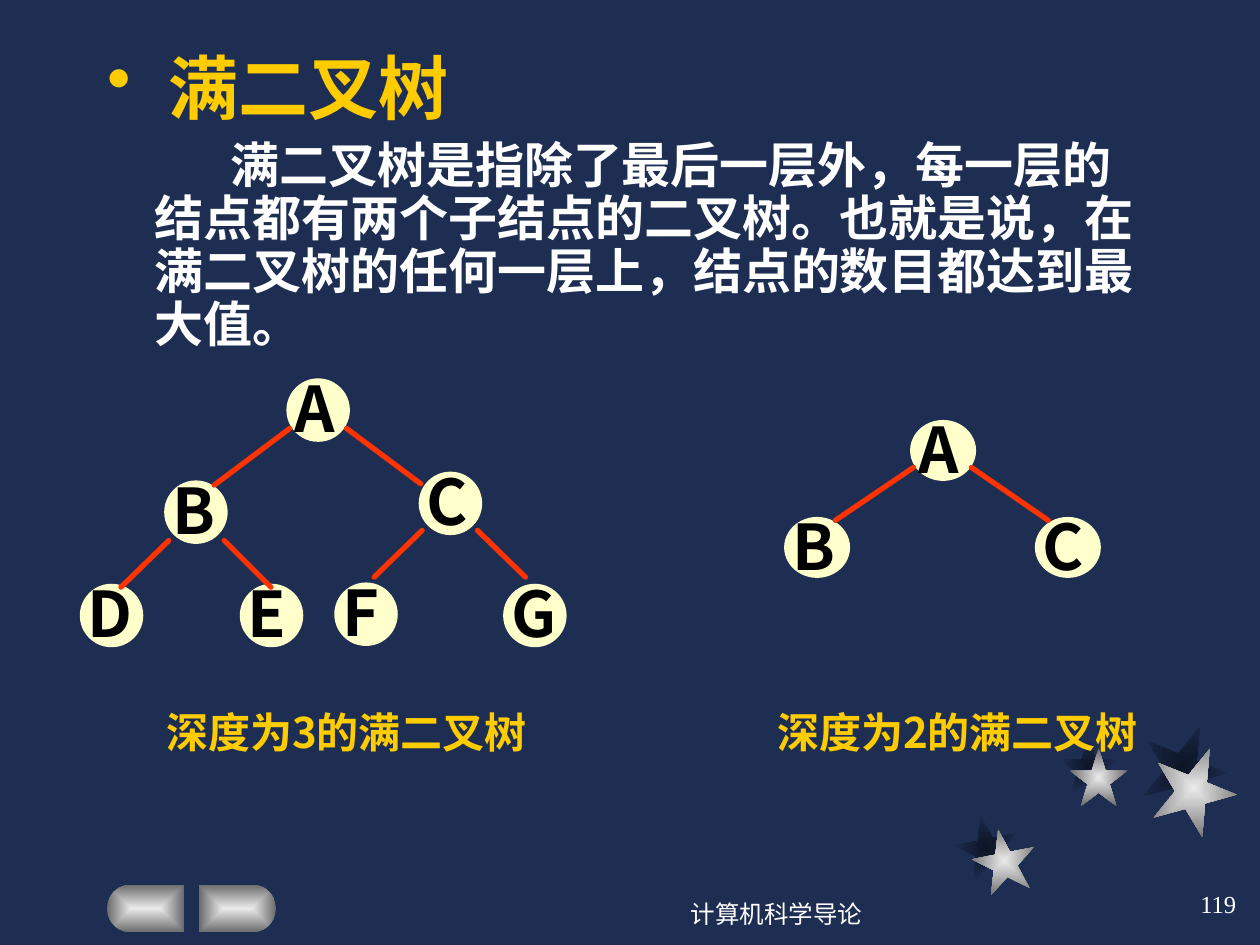
import math

import pptx
import pptx.dml.color
import pptx.enum.dml
import pptx.enum.shapes
import pptx.enum.text
import pptx.oxml.ns
import pptx.oxml.xmlchemy
import pptx.util
from lxml import etree

# The slide is a grid of 100 columns and 75 rows; all lengths count its cells
COLUMNS, ROWS = 100, 75
CELL = pptx.util.Inches(10) // COLUMNS

ALIGN = pptx.enum.text.PP_ALIGN
ANCHOR = pptx.enum.text.MSO_ANCHOR
SHAPE = pptx.enum.shapes.MSO_SHAPE
CJK_FONT = "Noto Sans CJK SC"
NAVY, DARK_NAVY = "1E2E53", "0D1526"
SILVER, GREY = "EAEAEA", "6B6B6B"
GOLD, CREAM, RED, WHITE, BLACK = "FFCC00", "FFFFCC", "FF3300", "FFFFFF", "000000"

# Stars: left, top, size, rotation
STAR_SHADOWS = [(75.8, 64.7, 5, 349), (84.1, 58.5, 4.6, 0), (90.6, 57.5, 6.7, 22)]
STARS = [(77.2, 65.8, 5, 349), (84.9, 59.4, 4.6, 0), (91.4, 59.2, 6.7, 22)]

# Trees: node size, node corners, branch ends
DEPTH_3 = {
    "size": (4.9, 4.9),
    "nodes": {"A": (22.8, 30.1), "G": (40, 46.4), "F": (26.6, 46.3), "E": (19.1, 46.4),
              "D": (6.4, 46.4), "C": (33.3, 37.5), "B": (13.1, 38.2)},
    "branches": [(23, 34, 17, 38.5), (27.5, 34, 33.4, 38.4),
                 (17.8, 42.9, 21.5, 46.6), (33.5, 42.1, 29.7, 45.8),
                 (13.4, 42.9, 9.6, 46.6), (37.9, 42.1, 41.7, 45.8)],
}
DEPTH_2 = {
    "size": (5.1, 4.7),
    "nodes": {"A": (72.3, 33.4), "C": (82.2, 41.1), "B": (62.3, 41.1)},
    "branches": [(72.5, 37.1, 66.3, 41.3), (77.1, 37.1, 83.2, 41.3)],
}


def cells(*lengths):
    return [round(length * CELL) for length in lengths]


def colour(code):
    return pptx.dml.color.RGBColor.from_string(code)


def apply(target, values):
    for name, value in values.items():
        setattr(target, name, value)


def sub(parent, tag, **attributes):
    return etree.SubElement(parent, pptx.oxml.ns.qn(tag), **attributes)


def write(frame, text, size, shade, font=CJK_FONT, bold=True, frame_format=None,
          paragraph_format=None):
    """Put one formatted run into a text frame."""
    apply(frame, {"word_wrap": True, **(frame_format or {})})
    paragraph = frame.paragraphs[0]
    apply(paragraph, {"space_before": pptx.util.Pt(0), **(paragraph_format or {})})
    run = paragraph.add_run()
    run.text = text
    apply(run.font, {"size": pptx.util.Pt(size), "bold": bold, "name": font})
    run.font.color.rgb = colour(shade)
    sub(run.font._element, "a:ea", typeface=CJK_FONT)


def add_text(shapes, box, text, size, shade, **formats):
    write(shapes.add_textbox(*cells(*box)).text_frame, text, size, shade, **formats)


def glow(shape, centre, edge):
    """Fill a shape with a gradient that runs from its centre to its edges."""
    shape.shadow.inherit = False
    shape.line.fill.background()
    shape.fill.gradient()
    for stop, shade in zip(shape.fill.gradient_stops, (centre, edge)):
        stop.color.rgb = colour(shade)
    gradient = shape._element.spPr.find(pptx.oxml.ns.qn("a:gradFill"))
    gradient.remove(gradient.find(pptx.oxml.ns.qn("a:lin")))
    focus = sub(gradient, "a:path")
    focus.set("path", "rect")
    sub(focus, "a:fillToRect", l="50000", t="50000", r="50000", b="50000")


def add_star(shapes, left, top, size, rotation, centre, edge):
    star = shapes.add_shape(SHAPE.STAR_5_POINT, *cells(left, top, size, size))
    star.rotation = rotation
    glow(star, centre, edge)


def add_button(shapes, flat_edge, direction):
    """Draw a half pill whose round end points left (-1) or right (1)."""
    top, radius, straight = 70.2, 1.9, 4.2
    builder = shapes.build_freeform(*cells(flat_edge, top))
    arc = [math.radians(angle) for angle in range(-90, 91, 15)]
    outline = [(flat_edge + direction * (straight + radius * math.cos(angle)),
                top + radius * (1 + math.sin(angle))) for angle in arc]
    outline.append((flat_edge, top + 2 * radius))
    builder.add_line_segments([cells(*point) for point in outline], close=True)
    glow(builder.convert_to_shape(), SILVER, GREY)


def add_node(shapes, letter, left, top, width, height):
    node = shapes.add_shape(SHAPE.OVAL, *cells(left, top, width, height))
    node.shadow.inherit = False
    node.fill.solid()
    node.fill.fore_color.rgb = node.line.color.rgb = colour(CREAM)
    node.line.width = pptx.util.Pt(1)
    add_text(shapes, (left - 1.3, top - 1.3, width + 4, 7), letter, 36, BLACK,
             frame_format={"margin_left": cells(1.87)[0],
                           "auto_size": pptx.enum.text.MSO_AUTO_SIZE.SHAPE_TO_FIT_TEXT})


def add_branch(shapes, *ends):
    branch = shapes.add_connector(pptx.enum.shapes.MSO_CONNECTOR.STRAIGHT, *cells(*ends))
    branch.line.color.rgb = colour(RED)
    branch.line.width = pptx.util.Pt(3)
    properties = branch._element.spPr
    properties.find(pptx.oxml.ns.qn("a:ln")).set("cap", "rnd")
    sub(properties, "a:effectLst")


def add_tree(slide, tree):
    shapes = slide.shapes.add_group_shape().shapes
    for letter, corner in tree["nodes"].items():
        add_node(shapes, letter, *corner, *tree["size"])
    for ends in tree["branches"]:
        add_branch(shapes, *ends)


def fill_placeholder(holder, box, indents, bullet, text, size, shade, **formats):
    apply(holder, dict(zip(("left", "top", "width", "height"), cells(*box))))
    properties = holder.text_frame.paragraphs[0]._p.get_or_add_pPr()
    for name, length in zip(("marL", "indent"), cells(*indents)):
        properties.set(name, str(length))
    if bullet:
        sub(sub(properties, "a:buClr"), "a:srgbClr", val=shade)
        sub(properties, "a:buChar", char=bullet)
    else:
        sub(properties, "a:buNone")
    write(holder.text_frame, text, size, shade, font="Arial", **formats)


def main():
    deck = pptx.Presentation()
    deck.slide_width, deck.slide_height = COLUMNS * CELL, ROWS * CELL
    slide = deck.slides.add_slide(deck.slide_layouts[1])
    slide.background.fill.solid()
    slide.background.fill.fore_color.rgb = colour(NAVY)
    title, definition = slide.placeholders

    # Decoration
    for stars, centre, edge in ((STAR_SHADOWS, DARK_NAVY, NAVY), (STARS, SILVER, GREY)):
        for star in stars:
            add_star(slide.shapes, *star, centre, edge)
    add_button(slide.shapes, 14.6, -1)
    add_button(slide.shapes, 15.8, 1)

    # Heading and definition
    fill_placeholder(title, (7.5, 2.5, 85, 8.2), (4.9, -4.9), "•", "满二叉树", 40, GOLD,
                     frame_format={"vertical_anchor": ANCHOR.BOTTOM},
                     paragraph_format={"alignment": ALIGN.LEFT})
    fill_placeholder(definition, (7.5, 10.7, 85, 18.1), (3.8, 6), None,
                     "满二叉树是指除了最后一层外，每一层的结点都有两个子结点的二叉树。"
                     "也就是说，在满二叉树的任何一层上，结点的数目都达到最大值。", 28, WHITE,
                     paragraph_format={"line_spacing": 0.9})

    # Trees with captions
    for tree, depth, left in ((DEPTH_3, 3, 7.5), (DEPTH_2, 2, 56)):
        add_tree(slide, tree)
        add_text(slide.shapes, (left, 55.6, 40, 5), f"深度为{depth}的满二叉树", 24, GOLD,
                 paragraph_format={"alignment": ALIGN.CENTER})

    # Footer
    for box, text, alignment in (((45.8, 70, 31.7, 5), "计算机科学导论", ALIGN.CENTER),
                                 ((78.3, 69.2, 20.8, 5), "119", ALIGN.RIGHT)):
        add_text(slide.shapes, box, text, 14, WHITE, font="Times New Roman", bold=False,
                 frame_format={"vertical_anchor": ANCHOR.MIDDLE},
                 paragraph_format={"alignment": alignment})

    deck.save("out.pptx")


if __name__ == "__main__":
    main()
